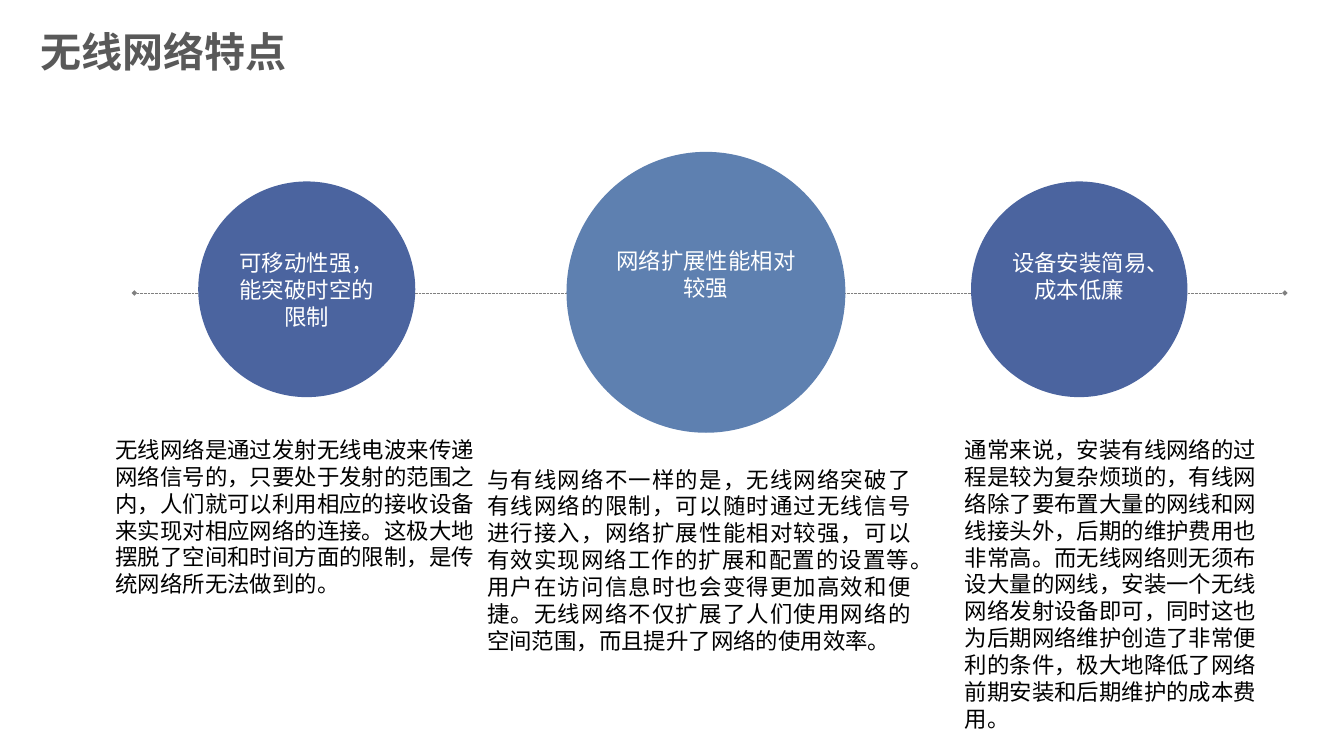
from pptx import Presentation
from pptx.dml.color import RGBColor
from pptx.enum.dml import MSO_LINE
from pptx.enum.shapes import MSO_CONNECTOR, MSO_SHAPE
from pptx.enum.text import MSO_ANCHOR, PP_ALIGN
from pptx.oxml.ns import qn
from pptx.util import Pt
from lxml.etree import SubElement

PX = 9144
NAVY = RGBColor(0x4B, 0x64, 0x9F)
STEEL = RGBColor(0x5E, 0x80, 0xB0)
GRAY = RGBColor(0x80, 0x80, 0x80)
DARK_GRAY = RGBColor(0x59, 0x59, 0x59)
BLACK = RGBColor(0, 0, 0)
WHITE = RGBColor(0xFF, 0xFF, 0xFF)
CJK = "Noto Sans CJK SC"


def write(frame, text, size, color, align, font="Arial", bold=False):
    frame.word_wrap = True
    paragraph = frame.paragraphs[0]
    paragraph.alignment = align
    run = paragraph.add_run()
    run.text = text
    run.font.size = Pt(size)
    run.font.bold = bold
    run.font.color.rgb = color
    run.font.name = font
    SubElement(run.font._element, qn("a:ea")).set("typeface", CJK)


prs = Presentation()
prs.slide_width = 2000 * PX
prs.slide_height = 1125 * PX
slide = prs.slides.add_slide(prs.slide_layouts[6])
shapes = slide.shapes

title = shapes.add_textbox(50 * PX, 35 * PX, 813 * PX, 71 * PX)
write(title.text_frame, "无线网络特点", 44, DARK_GRAY, PP_ALIGN.LEFT, bold=True)

axis = shapes.add_connector(MSO_CONNECTOR.STRAIGHT, 200 * PX, 436 * PX, 1912 * PX, 436 * PX)
axis.line.color.rgb = GRAY
axis.line.width = Pt(0.75)
axis.line.dash_style = MSO_LINE.ROUND_DOT
for end in ("a:headEnd", "a:tailEnd"):
    SubElement(axis.line._get_or_add_ln(), qn(end)).set("type", "diamond")
SubElement(axis._element.spPr, qn("a:effectLst"))

features = [
    ("可移动性强，能突破时空的限制", (295, 270, 323, 321), NAVY, 5),
    ("设备安装简易、成本低廉", (1445, 270, 322, 321), NAVY, 45),
    ("网络扩展性能相对较强", (843, 226, 415, 418), STEEL, 60),
]
for feature, box, color, bottom in features:
    circle = shapes.add_shape(MSO_SHAPE.OVAL, *(value * PX for value in box))
    circle.shadow.inherit = False
    circle.fill.solid()
    circle.fill.fore_color.rgb = color
    circle.line.fill.background()
    circle.text_frame.vertical_anchor = MSO_ANCHOR.MIDDLE
    circle.text_frame.margin_bottom = bottom * PX
    write(circle.text_frame, feature, 24, WHITE, PP_ALIGN.CENTER, CJK)

explanations = [
    ("无线网络是通过发射无线电波来传递网络信号的，只要处于发射的范围之内，人们就可以利用相应的接收设备来实现对相应网络的连接。这极大地摆脱了空间和时间方面的限制，是传统网络所无法做到的。",
     (162, 644, 553, 374), PP_ALIGN.JUSTIFY),
    ("与有线网络不一样的是，无线网络突破了有线网络的限制，可以随时通过无线信号进行接入，网络扩展性能相对较强，可以有效实现网络工作的扩展和配置的设置等。用户在访问信息时也会变得更加高效和便捷。无线网络不仅扩展了人们使用网络的空间范围，而且提升了网络的使用效率。",
     (715, 688, 650, 293), PP_ALIGN.JUSTIFY),
    ("通常来说，安装有线网络的过程是较为复杂烦琐的，有线网络除了要布置大量的网线和网线接头外，后期的维护费用也非常高。而无线网络则无须布设大量的网线，安装一个无线网络发射设备即可，同时这也为后期网络维护创造了非常便利的条件，极大地降低了网络前期安装和后期维护的成本费用。",
     (1426, 644, 466, 495), PP_ALIGN.LEFT),
]
for explanation, box, align in explanations:
    detail = shapes.add_textbox(*(value * PX for value in box))
    write(detail.text_frame, explanation, 24, BLACK, align)

prs.save("out.pptx")
